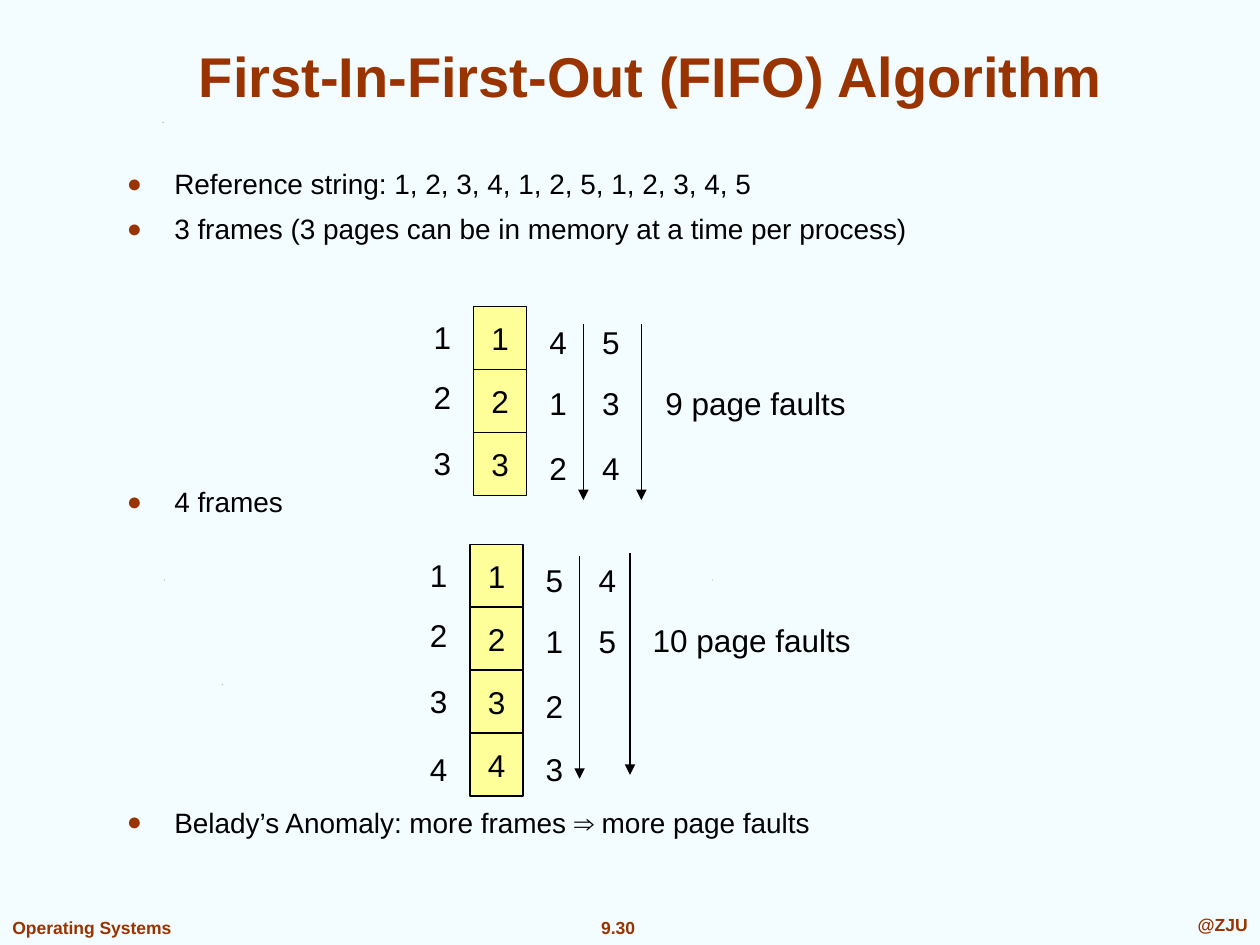
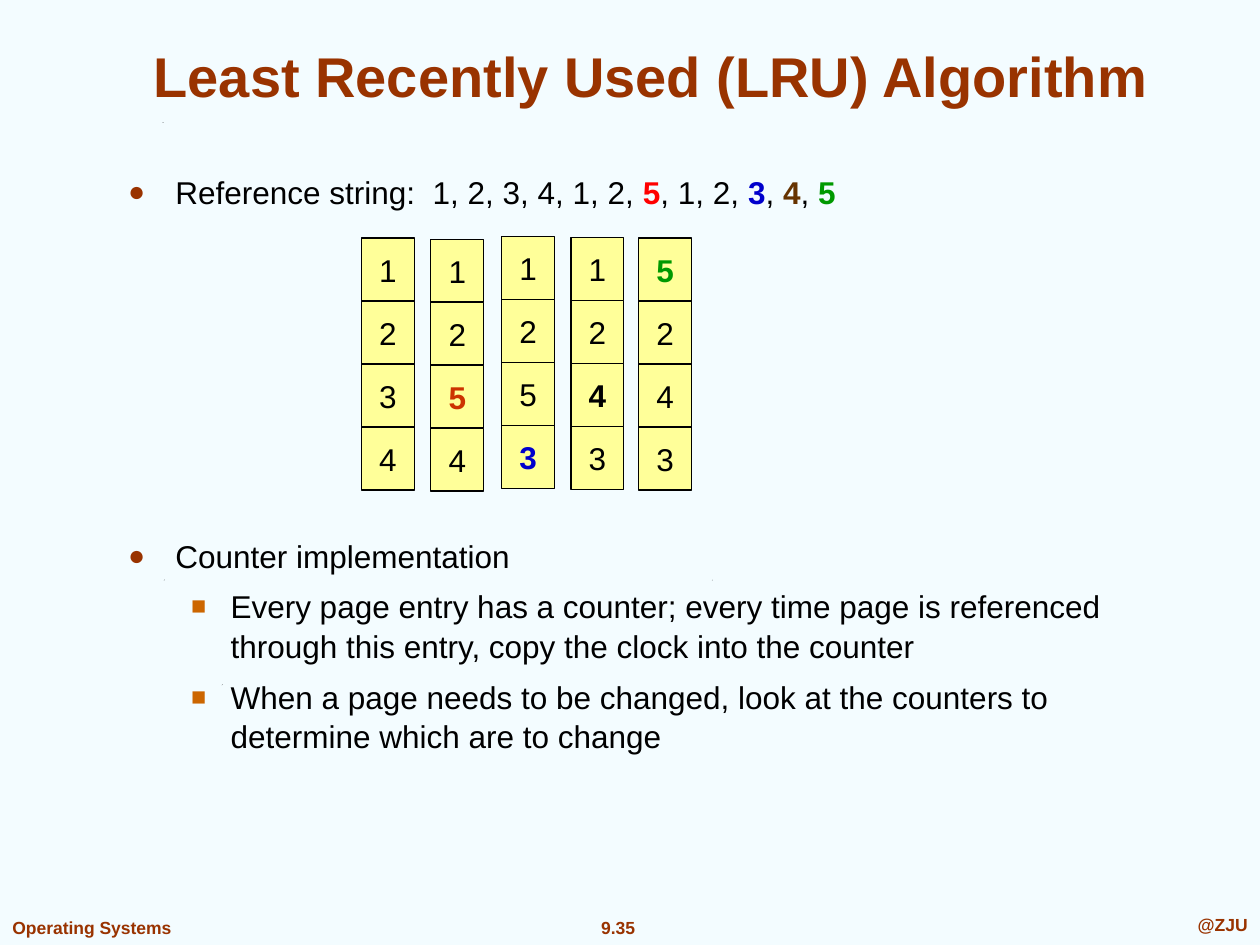
from dataclasses import dataclass

from lxml import etree
from pptx import Presentation
from pptx.dml.color import RGBColor
from pptx.enum.shapes import MSO_CONNECTOR, MSO_SHAPE
from pptx.enum.text import MSO_ANCHOR, MSO_AUTO_SIZE, PP_ALIGN
from pptx.oxml.ns import qn
from pptx.util import Pt

LEFT, CENTER, RIGHT = PP_ALIGN.LEFT, PP_ALIGN.CENTER, PP_ALIGN.RIGHT
TOP, MIDDLE, BOTTOM = MSO_ANCHOR.TOP, MSO_ANCHOR.MIDDLE, MSO_ANCHOR.BOTTOM
RECTANGLE, STRAIGHT = MSO_SHAPE.RECTANGLE, MSO_CONNECTOR.STRAIGHT
FIXED_SIZE = MSO_AUTO_SIZE.NONE
TITLE_ONLY = 5


@dataclass(frozen=True)
class Theme:
    font: str = "Arial"
    background: str = "F3FCFF"
    accent: str = "993300"
    sub_bullet: str = "CC6600"
    text: str = "000000"
    cell: str = "FFFF99"
    red: str = "FF0000"
    rust: str = "CC3300"
    blue: str = "0000CC"
    brown: str = "663300"
    green: str = "009900"
    title_size: float = 32
    figure_size: float = 18
    small_body_size: float = 16
    footer_size: float = 10
    line_width: float = 0.75


theme = Theme()


def write(para, text, size=theme.figure_size, color=theme.text, bold=False, align=None):
    span = para.add_run()
    span.text = text
    span.font.name = theme.font
    span.font.size = Pt(size)
    span.font.bold = bold
    span.font.color.rgb = RGBColor.from_string(color)
    if align is not None:
        para.alignment = align


def add_box(page, area, text, fill=None, anchor=MIDDLE, align=CENTER, **text_format):
    """Add one line of text, in a bordered cell when a fill is given."""
    area = [Pt(length) for length in area]
    if fill:
        box = page.shapes.add_shape(RECTANGLE, *area)
        box.shadow.inherit = False
        box.fill.solid()
        box.fill.fore_color.rgb = RGBColor.from_string(fill)
        box.line.color.rgb = RGBColor.from_string(theme.text)
        box.line.width = Pt(theme.line_width)
    else:
        box = page.shapes.add_textbox(*area)
    box.text_frame.word_wrap = False
    box.text_frame.vertical_anchor = anchor
    write(box.text_frame.paragraphs[0], text, align=align, **text_format)


deck = Presentation()
deck.slide_width, deck.slide_height = Pt(720), Pt(540)
master_fill = deck.slide_master.background.fill
master_fill.solid()
master_fill.fore_color.rgb = RGBColor.from_string(theme.background)

# Bullet levels: character, colour, size in percent, left margin, hanging indent
levels = [
    ("●", theme.accent, 90, 27, -27),
    ("■", theme.sub_bullet, 80, 58.5, -22.5),
]

# Body paragraphs: level, space before, spans of (text, colour); coloured spans are bold
fifo_body = [
    (0, 0, [("Reference string: 1, 2, 3, 4, 1, 2, 5, 1, 2, 3, 4, 5", None)]),
    (0, 5.6, [("3 frames (3 pages can be in memory at a time per process)", None)]),
    (0, 136, [("4 frames", None)]),
    (0, 163, [("Belady’s Anomaly: more frames ⇒ more page faults", None)]),
]
lru_body = [
    (0, 0, [
        ("Reference string:  1, 2, 3, 4, 1, 2, ", None), ("5", theme.red),
        (", 1, 2, ", None), ("3", theme.blue), (", ", None),
        ("4", theme.brown), (", ", None), ("5", theme.green),
    ]),
    (0, 185, [("Counter implementation", None)]),
    (1, 6.3, [("Every page entry has a counter; every time page is referenced "
               "through this entry, copy the clock into the counter", None)]),
    (1, 6.3, [("When a page needs to be changed, look at the counters to "
               "determine which are to change", None)]),
]
contents = [
    ("First-In-First-Out (FIFO) Algorithm", "9.30",
     (65.5, 90.7, 554, 453), theme.small_body_size, fifo_body),
    ("Least Recently Used (LRU) Algorithm", "9.35",
     (66.2, 94.3, 579, 353), theme.figure_size, lru_body),
]
specks = [(126.7, 391), (93.6, 331.2), (406.8, 331.2), (92.9, 69.8)]

pages = []
for title, number, body_area, body_size, body in contents:
    page = deck.slides.add_slide(deck.slide_layouts[TITLE_ONLY])
    pages.append(page)

    heading = page.shapes.title
    heading.left, heading.top, heading.width, heading.height = Pt(54), Pt(18), Pt(636), Pt(48)
    heading.text_frame.auto_size = FIXED_SIZE
    heading.text_frame.vertical_anchor = BOTTOM
    write(heading.text_frame.paragraphs[0], title, size=theme.title_size,
          color=theme.accent, bold=True, align=CENTER)

    for text, area, align in [
        (number, (335.5, 520.5, 35.5, 19.5), CENTER),
        ("@ZJU", (511, 518.5, 209, 19.5), RIGHT),
        ("Operating Systems", (0, 520.5, 106, 19.5), LEFT),
    ]:
        add_box(page, area, text, anchor=TOP, align=align,
                size=theme.footer_size, color=theme.accent, bold=True)

    for x, y in specks:
        outline = page.shapes.build_freeform(Pt(x), Pt(y + 0.5))
        outline.add_line_segments([(Pt(x + 0.5), Pt(y)), (Pt(x + 0.3), Pt(y + 0.5))])
        speck = outline.convert_to_shape()
        speck.shadow.inherit = False
        speck.fill.solid()
        speck.fill.fore_color.rgb = RGBColor.from_string(theme.text)
        speck.line.fill.background()

    frame = page.shapes.add_textbox(*[Pt(length) for length in body_area]).text_frame
    frame.word_wrap = True
    for index, (level, space_before, spans) in enumerate(body):
        para = frame.add_paragraph() if index else frame.paragraphs[0]
        character, color, percent, margin, indent = levels[level]
        properties = para._p.get_or_add_pPr()
        properties.set("marL", str(Pt(margin)))
        properties.set("indent", str(Pt(indent)))
        bullet_color = etree.SubElement(properties, qn("a:buClr"))
        etree.SubElement(bullet_color, qn("a:srgbClr"), val=color)
        etree.SubElement(properties, qn("a:buSzPct"), val=str(percent * 1000))
        etree.SubElement(properties, qn("a:buFont"), typeface=theme.font)
        etree.SubElement(properties, qn("a:buChar"), char=character)
        para.level = level
        para.line_spacing = 1.05
        if space_before:
            para.space_before = Pt(space_before)
        for text, span_color in spans:
            write(para, text, size=body_size, color=span_color or theme.text,
                  bold=span_color is not None)

fifo_page, lru_page = pages
cell_width, cell_height = 30.24, 36
label_width, label_height = 24.5, 28.8

# FIFO: memory frames with the pages that replace their contents
frame_number_offsets = (3, 37.5, 75, 114)
replacement_offsets = (6, 41, 78, 114)
fifo_diagrams = [
    (270.7, 175, "123", ("412", "534"), "9 page faults", (373, 216, 117.5),
     [(333.4, 185, 285.8), (366.5, 185, 285.8)]),
    (268.6, 311, "1234", ("5123", "45"), "10 page faults", (365.8, 351.4, 127.5),
     [(331.2, 317.5, 445), (360, 316, 442.8)]),
]
for left, top, frames, replacements, faults, faults_area, arrows in fifo_diagrams:
    for row, digit in enumerate(frames):
        add_box(fifo_page, (left, top + row * cell_height, cell_width, cell_height),
                digit, fill=theme.cell)
    label_columns = [
        (-30.2, frames, frame_number_offsets),
        (36, replacements[0], replacement_offsets),
        (66.2, replacements[1], replacement_offsets),
    ]
    for shift, digits, offsets in label_columns:
        for digit, offset in zip(digits, offsets):
            add_box(fifo_page, (left + shift, top + offset, label_width, label_height), digit)
    add_box(fifo_page, (*faults_area, label_height), faults)
    for x, start, end in arrows:
        arrow = fifo_page.shapes.add_connector(STRAIGHT, Pt(x), Pt(start), Pt(x), Pt(end))
        arrow.line.color.rgb = RGBColor.from_string(theme.text)
        arrow.line.width = Pt(theme.line_width)
        etree.SubElement(arrow.line._get_or_add_ln(), qn("a:tailEnd"), type="triangle")
        etree.SubElement(arrow._element.spPr, qn("a:effectLst"))

# LRU: memory after each fault, with the row and colour of the page just loaded
lru_columns = [
    (206.6, 136, "1234", None, None),
    (246.2, 136.7, "1254", 2, theme.rust),
    (286.6, 135.2, "1253", 3, theme.blue),
    (326.2, 135.6, "1243", 2, theme.text),
    (365, 136.1, "5243", 0, theme.green),
]
for left, top, digits, loaded_row, loaded_color in lru_columns:
    for row, digit in enumerate(digits):
        loaded = row == loaded_row
        add_box(lru_page, (left, top + row * cell_height, cell_width, cell_height), digit,
                fill=theme.cell, color=loaded_color if loaded else theme.text, bold=loaded)

deck.save("out.pptx")
